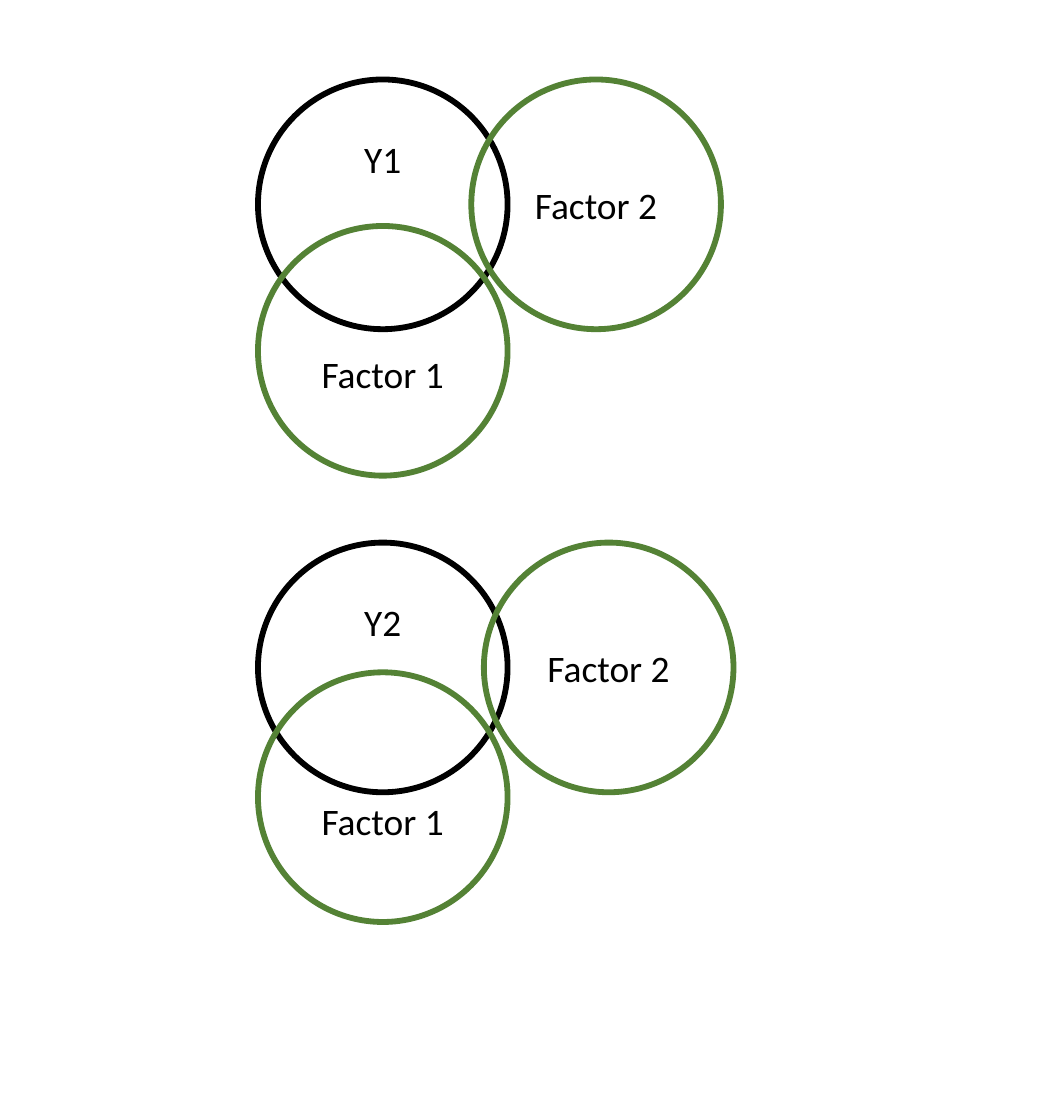
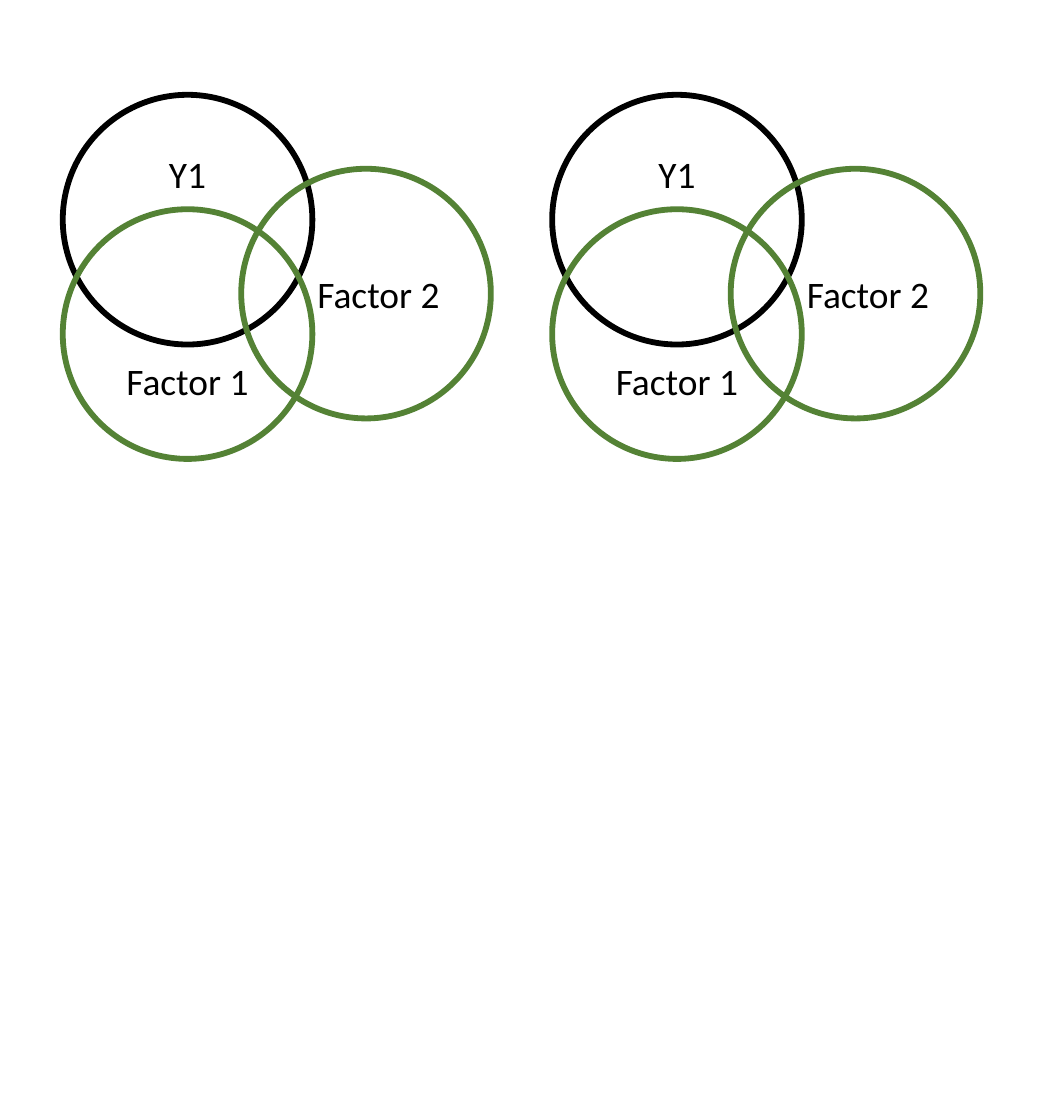
"""Two slides of Venn diagrams: an outcome overlapping two factors."""
from pptx import Presentation
from pptx.dml.color import RGBColor
from pptx.enum.shapes import MSO_SHAPE
from pptx.enum.text import MSO_ANCHOR, PP_ALIGN
from pptx.util import Emu, Pt

BLACK = RGBColor(0x00, 0x00, 0x00)
GREEN = RGBColor(0x54, 0x82, 0x35)
PX = 9144
DIAMETER = 179
LINE = 33


def px(n):
    return Emu(n * PX)


def add_circle(s, text, color, x, y, left=0, top=0, bottom=0):
    sp = s.shapes.add_shape(MSO_SHAPE.OVAL, px(x), px(y), px(DIAMETER), px(DIAMETER))
    sp.shadow.inherit = False
    sp.fill.background()
    sp.line.color.rgb = color
    sp.line.width = Pt(3)
    tf = sp.text_frame
    tf.word_wrap = True
    tf.vertical_anchor = MSO_ANCHOR.MIDDLE
    tf.margin_left, tf.margin_right = px(left), 0
    tf.margin_top, tf.margin_bottom = px(top), px(bottom)
    p = tf.paragraphs[0]
    p.alignment = PP_ALIGN.CENTER
    r = p.add_run()
    r.text = text
    r.font.name = "Calibri"
    r.font.size = Pt(19.3)
    r.font.color.rgb = BLACK


prs = Presentation()
prs.slide_width, prs.slide_height = px(748), px(803)

# Each diagram: outcome, x, y, Factor 1 drop, Factor 2 offset, label insets
slides = [
    [("Y1", 185, 57, 105, (153, 0), LINE, 0),
     ("Y2", 185, 389, 93, (162, 0), LINE, 0)],
    [("Y1", x, 68, 82, (128, 53), 2 * LINE, 18) for x in (45, 396)],
]

for diagrams in slides:
    s = prs.slides.add_slide(prs.slide_layouts[6])
    for outcome, x, y, drop, (dx, dy), top, left in diagrams:
        add_circle(s, outcome, BLACK, x, y, bottom=2 * LINE)
        add_circle(s, "Factor 1", GREEN, x, y + drop, top=top)
        add_circle(s, "Factor 2", GREEN, x + dx, y + dy, left=left)

prs.save("out.pptx")
